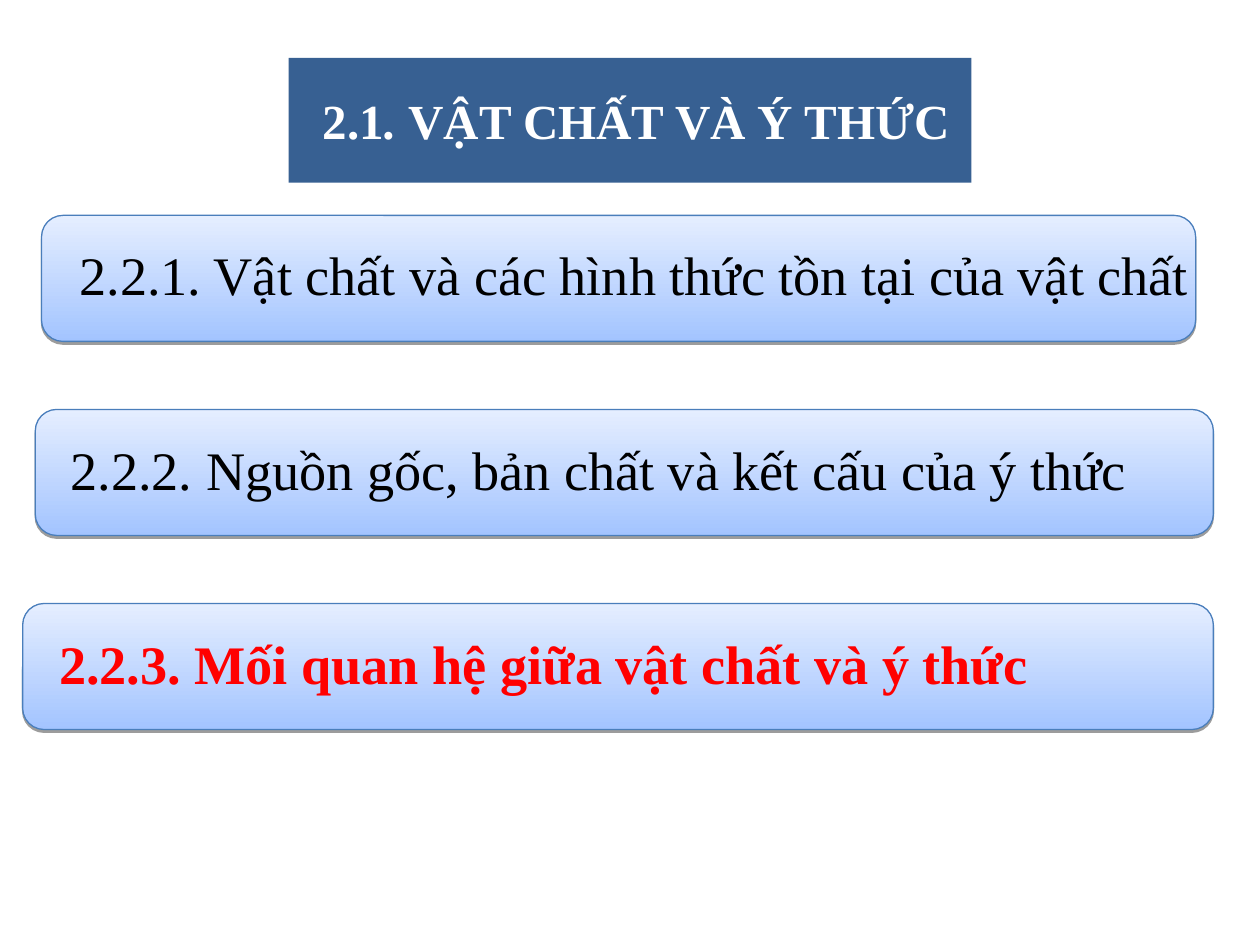
from lxml import etree
from pptx import Presentation
from pptx import util as u
from pptx.dml.color import RGBColor
from pptx.enum import shapes, text
from pptx.oxml.ns import qn


def color(hex_value):
    return RGBColor.from_string(hex_value)


def apply(target, values):
    for name, value in values.items():
        setattr(target, name, value)


class OutlineSlide:
    FONT = "Times New Roman"
    TITLE_FILL = "376092"
    BAR_STOPS = ("A3C4FF", "E5EEFF")
    BAR_LINE = "4A7EBB"

    def __init__(self, presentation):
        self.slide = presentation.slides.add_slide(presentation.slide_layouts[6])

    def add_wording(self, shape, runs, frame_format, paragraph_format, font_format, hex_value):
        """Fill a shape with one paragraph; runs are (wording, italic) pairs."""
        frame = shape.text_frame
        apply(frame, {"word_wrap": True,
                      "vertical_anchor": text.MSO_ANCHOR.MIDDLE, **frame_format})
        paragraph = frame.paragraphs[0]
        apply(paragraph, paragraph_format)
        for wording, italic in runs:
            run = paragraph.add_run()
            run.text = wording
            apply(run.font, {"name": self.FONT, "italic": italic, **font_format})
            run.font.color.rgb = color(hex_value)

    def title(self, box, runs):
        shape = self.slide.shapes.add_shape(
            shapes.MSO_SHAPE.RECTANGLE, *map(u.Inches, box))
        shape.shadow.inherit = False
        shape.fill.solid()
        shape.fill.fore_color.rgb = color(self.TITLE_FILL)
        shape.line.fill.background()
        self.add_wording(shape, runs, {}, {"alignment": text.PP_ALIGN.CENTER},
                         {"size": u.Pt(28), "bold": True}, "FFFFFF")

    def add_shadow(self, shape):
        shape.shadow.inherit = False
        effects = shape._element.spPr.find(qn("a:effectLst"))
        shadow = etree.SubElement(effects, qn("a:outerShdw"), {
            "dist": str(u.Pt(1.6)), "dir": "5400000", "rotWithShape": "0"})
        black = etree.SubElement(shadow, qn("a:srgbClr"), val="000000")
        etree.SubElement(black, qn("a:alpha"), val="38000")

    def bar(self, group, box):
        shape = group.shapes.add_shape(
            shapes.MSO_SHAPE.ROUNDED_RECTANGLE, *map(u.Inches, box))
        shape.adjustments[0] = 0.17
        shape.fill.gradient()
        shape.fill.gradient_angle = 90
        for stop, hex_value in zip(shape.fill.gradient_stops, self.BAR_STOPS):
            stop.color.rgb = color(hex_value)
        shape.line.color.rgb = color(self.BAR_LINE)
        shape.line.width = u.Pt(0.75)
        self.add_shadow(shape)

    def section(self, top, bar_span, text_span, wording, hex_value, bold):
        """A gradient bar with its heading; spans are (left, width)."""
        group = self.slide.shapes.add_group_shape()
        self.bar(group, (bar_span[0], top, bar_span[1], 1))
        label = group.shapes.add_textbox(*map(
            u.Inches, (text_span[0], top + 0.05, text_span[1], 0.9)))
        side = u.Inches(0.23)
        self.add_wording(label, [(wording, False)],
                         {"margin_left": side, "margin_right": side,
                          "margin_top": 0, "margin_bottom": 0},
                         {"line_spacing": 0.9, "space_after": u.Pt(13.5)},
                         {"size": u.Pt(31), "bold": bold}, hex_value)


def main():
    presentation = Presentation()
    presentation.slide_width = u.Inches(10)
    presentation.slide_height = u.Inches(7.5)
    outline = OutlineSlide(presentation)

    # Chapter title
    outline.title((2.29, 0.46, 5.42, 0.99),
                  [(" 2.1", False), (". ", True), ("VẬT CHẤT VÀ Ý THỨC", False)])

    # Sections, the current one highlighted
    sections = [
        ((0.33, 9.16), (0.4, 9.39),
         "2.2.1. Vật chất và các hình thức tồn tại của vật chất", "000000", False),
        ((0.28, 9.35), (0.33, 9.35),
         "2.2.2. Nguồn gốc, bản chất và kết cấu của ý thức", "000000", False),
        ((0.18, 9.45), (0.24, 9.34),
         "2.2.3. Mối quan hệ giữa vật chất và ý thức", "FF0000", True),
    ]
    for index, section in enumerate(sections):
        outline.section(1.71 + 1.54 * index, *section)

    presentation.save("out.pptx")


if __name__ == "__main__":
    main()
